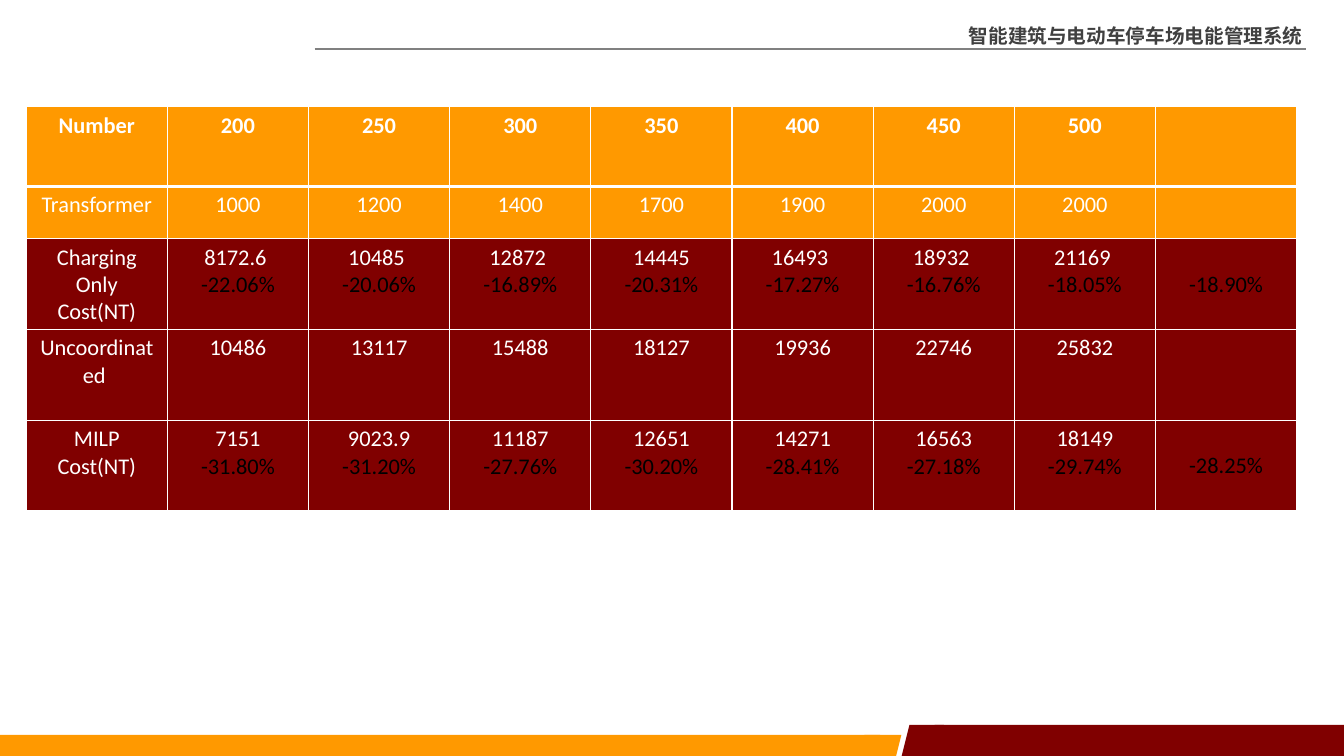
from lxml import etree
from pptx import Presentation
from pptx.dml.color import RGBColor
from pptx.enum.shapes import MSO_CONNECTOR, MSO_SHAPE
from pptx.enum.text import PP_ALIGN
from pptx.oxml import parse_xml
from pptx.oxml.ns import nsdecls, qn
from pptx.util import Inches, Pt

ORANGE, MAROON, WHITE, BLACK = "FF9900", "800000", "FFFFFF", "000000"


def color(value):
    return RGBColor.from_string(value)


class SlideBuilder:
    latin, cjk = "Calibri", "Noto Sans CJK SC"

    def __init__(self, slide):
        self.slide = slide
        self.shapes = slide.shapes

    def style(self, run, size, hex_color, font, bold=False):
        run.font.size, run.font.bold, run.font.name = Pt(size), bold, font
        run.font.color.rgb = color(hex_color)
        etree.SubElement(run.font._element, qn("a:ea"), typeface=font)

    def shape(self, kind, box, fill):
        item = self.shapes.add_shape(kind, *map(Inches, box))
        item.shadow.inherit = False
        item.fill.solid()
        item.fill.fore_color.rgb = color(fill)
        item.line.fill.background()

    def line(self, start, end, hex_color, width):
        item = self.shapes.add_connector(
            MSO_CONNECTOR.STRAIGHT, *map(Inches, start + end))
        item.line.color.rgb, item.line.width = color(hex_color), Pt(width)
        etree.SubElement(item._element.spPr, qn("a:effectLst"))

    def text(self, box, words, size, hex_color):
        frame = self.shapes.add_textbox(*map(Inches, box)).text_frame
        frame.word_wrap = True
        frame.margin_right = 0  # leaves room for the title on one line
        run = frame.paragraphs[0].add_run()
        run.text = words
        self.style(run, size, hex_color, self.cjk, bold=True)

    def borders(self, cell, widths):
        # Border elements come before the fill in the cell properties
        props = cell._tc.get_or_add_tcPr()
        for i, (side, width) in enumerate(zip("LRTB", widths)):
            props.insert(i, parse_xml(
                f'<a:ln{side} {nsdecls("a")} w="{Pt(width)}"><a:solidFill>'
                f'<a:srgbClr val="{WHITE}"/></a:solidFill></a:ln{side}>'))

    def cell(self, cell, words, fill, bold):
        cell.fill.solid()
        cell.fill.fore_color.rgb = color(fill)
        if words.startswith("-"):
            cell.margin_top = Inches(0.32)  # lone percentage sits on line two
        for i, part in enumerate(words.split("\n")):
            frame = cell.text_frame
            para = frame.add_paragraph() if i else frame.paragraphs[0]
            para.alignment = PP_ALIGN.CENTER
            if part:
                run = para.add_run()
                run.text = part
                ink = BLACK if part.startswith("-") else WHITE
                self.style(run, 16, ink, self.latin, bold)

    def table(self, left, top, col_width, row_heights, rows, fills):
        count = len(rows[0])
        frame = self.shapes.add_table(
            len(rows), count, Inches(left), Inches(top),
            Inches(col_width * count), Inches(sum(row_heights)))
        table = frame.table
        table.horz_banding = False
        for column in table.columns:
            column.width = Inches(col_width)
        for r, (height, row, fill) in enumerate(zip(row_heights, rows, fills)):
            table.rows[r].height = Inches(height)
            edges = (1, 1, 3 if r == 1 else 1, 3 if r == 0 else 1)
            for c, words in enumerate(row):
                cell = table.cell(r, c)
                self.cell(cell, words, fill, bold=r == 0)
                self.borders(cell, edges)


prs = Presentation()
prs.slide_width, prs.slide_height = Inches(13.33), Inches(7.5)
page = SlideBuilder(prs.slides.add_slide(prs.slide_layouts[6]))

# Footer bands
page.shape(MSO_SHAPE.RECTANGLE, (0, 7.29, 8.73, 0.21), ORANGE)
page.shape(MSO_SHAPE.PARALLELOGRAM, (8.52, 7.29, 0.42, 0.21), ORANGE)
page.shape(MSO_SHAPE.PARALLELOGRAM, (8.94, 7.19, 0.42, 0.32), MAROON)
page.shape(MSO_SHAPE.RECTANGLE, (9.27, 7.19, 4.06, 0.32), MAROON)

# Header title and rule
page.text((9.51, 0.19, 3.51, 0.34), "智能建筑与电动车停车场电能管理系统", 14, "404040")
page.line((3.12, 0.49), (12.95, 0.49), "808080", 1.5)

# Cost table
cost_rows = [
    ["Number", "200", "250", "300", "350", "400", "450", "500", ""],
    ["Transformer", "1000", "1200", "1400", "1700", "1900", "2000", "2000", ""],
    ["Charging Only\nCost(NT)", "8172.6 \n-22.06%", "10485 \n-20.06%",
     "12872 \n-16.89%", "14445\n-20.31%", "16493 \n-17.27%",
     "18932 \n-16.76%", "21169 \n-18.05%", "-18.90%"],
    ["Uncoordinated ", "10486", "13117", "15488", "18127", "19936", "22746",
     "25832", ""],
    ["MILP Cost(NT)", "7151\n-31.80%", "9023.9\n-31.20%", "11187\n-27.76%",
     "12651\n-30.20%", "14271\n-28.41%", "16563\n-27.18%",
     "18149\n-29.74%", "-28.25%"],
]
page.table(0.26, 1.06, 1.4, [0.79, 0.52] + [0.9] * 3, cost_rows,
           [ORANGE] * 2 + [MAROON] * 3)

prs.save("out.pptx")
